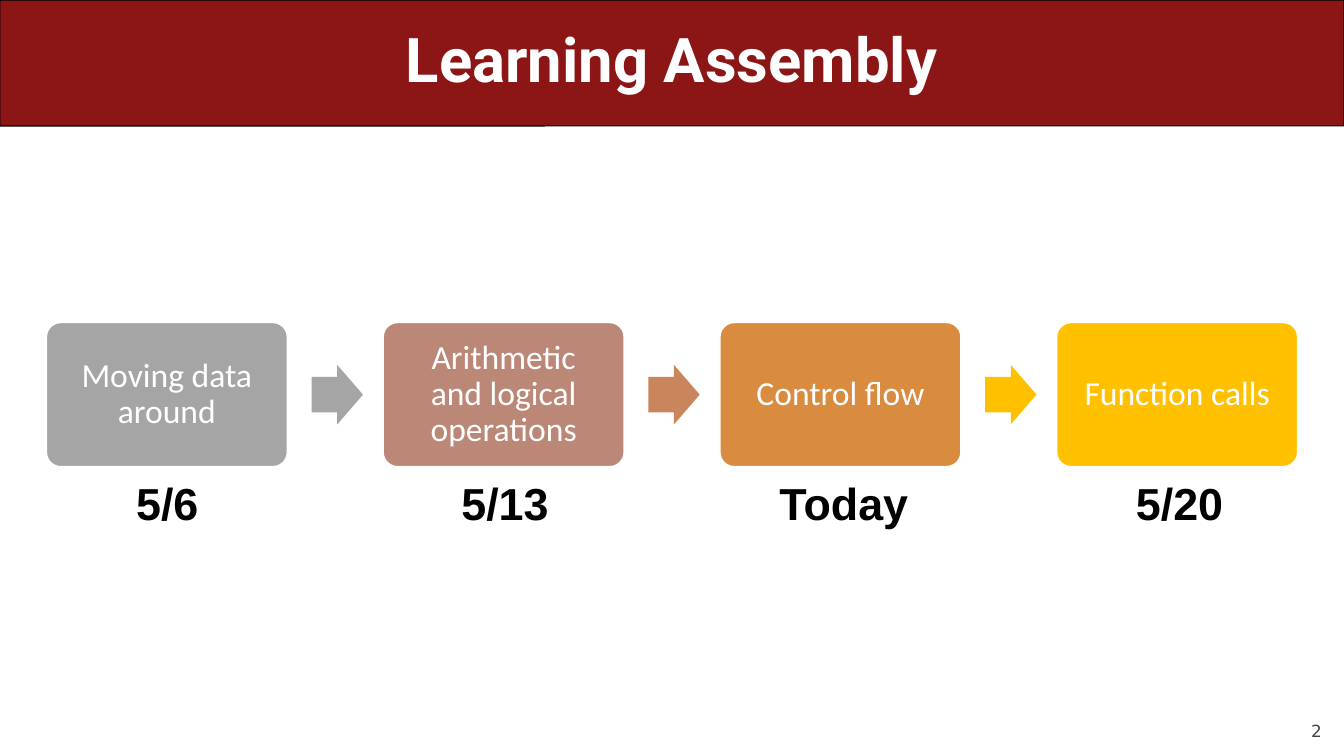
from dataclasses import dataclass

from pptx import Presentation
from pptx.dml.color import RGBColor
from pptx.enum.shapes import MSO_SHAPE as Preset
from pptx.enum.text import MSO_ANCHOR as Anchor, PP_ALIGN as Align
from pptx.shapes.autoshape import Shape
from pptx.util import Inches, Pt


@dataclass
class Topic:
    name: str
    date: str
    date_center: float
    fill: str
    arrow_fill: str = ""  # arrow to the next topic, if any


TOPICS = [
    Topic("Moving data around", "5/6", 1.66, "A5A5A5", "A5A5A5"),
    Topic("Arithmetic and logical operations", "5/13", 5.01, "BB8776", "C9855C"),
    Topic("Control flow", "Today", 8.37, "D98B3F", "FFC000"),
    Topic("Function calls", "5/20", 11.7, "FFC000"),
]
FIRST_LEFT, TOPIC_STEP = 0.46, 3.34
TOPIC_TOP, TOPIC_WIDTH, TOPIC_HEIGHT = 3.2, 2.39, 1.43
ARROW_OFFSET, ARROW_TOP, ARROW_WIDTH, ARROW_HEIGHT = 2.63, 3.62, 0.51, 0.59
DATE_TOP, DATE_WIDTH, DATE_HEIGHT = 4.67, 1.6, 0.64


def color(value: str) -> RGBColor:
    return RGBColor.from_string(value)


def add_block(preset: Preset, left: float, top: float, width: float, height: float,
              fill: str, adjustments: list[float], line: str = "", line_width: float = 1) -> Shape:
    block = slide.shapes.add_shape(preset, Inches(left), Inches(top), Inches(width), Inches(height))
    block.shadow.inherit = False
    for index, adjustment in enumerate(adjustments):
        block.adjustments[index] = adjustment
    block.fill.solid()
    block.fill.fore_color.rgb = color(fill)
    if line:
        block.line.color.rgb = color(line)
        block.line.width = Pt(line_width)
    else:
        block.line.fill.background()
    return block


def add_label(left: float, top: float, width: float, height: float) -> Shape:
    return slide.shapes.add_textbox(Inches(left), Inches(top), Inches(width), Inches(height))


def write(shape: Shape, text: str, font: str, size: int, ink: str, bold: bool = False,
          align: Align = Align.CENTER, anchor: Anchor = Anchor.MIDDLE,
          spacing: float = 1, inset: float = 0.1) -> None:
    frame = shape.text_frame
    frame.text = text
    frame.word_wrap = True
    frame.vertical_anchor = anchor
    frame.margin_left = frame.margin_right = Inches(inset)
    frame.margin_top = frame.margin_bottom = Inches(min(inset, 0.05))
    paragraph = frame.paragraphs[0]
    paragraph.alignment = align
    paragraph.line_spacing = spacing
    run_font = paragraph.runs[0].font
    run_font.name, run_font.size, run_font.bold = font, Pt(size), bold
    run_font.color.rgb = color(ink)


def add_topic(topic: Topic, left: float) -> None:
    box = add_block(Preset.ROUNDED_RECTANGLE, left, TOPIC_TOP, TOPIC_WIDTH, TOPIC_HEIGHT,
                    topic.fill, [0.1], "FFFFFF")
    write(box, topic.name, "Calibri", 24, "FFFFFF", spacing=0.9, inset=0.15)
    if topic.arrow_fill:
        add_block(Preset.RIGHT_ARROW, left + ARROW_OFFSET, ARROW_TOP, ARROW_WIDTH, ARROW_HEIGHT,
                  topic.arrow_fill, [0.6, 0.5])
    date = add_label(topic.date_center - DATE_WIDTH / 2, DATE_TOP, DATE_WIDTH, DATE_HEIGHT)
    write(date, topic.date, "Arial", 32, "000000", bold=True, anchor=Anchor.TOP, inset=0.05)


presentation = Presentation()
presentation.slide_width, presentation.slide_height = Inches(13.33), Inches(7.5)
slide = presentation.slides.add_slide(presentation.slide_layouts[6])

# Page number
page_number = add_label(12, 6.95, 1.11, 0.4)
write(page_number, "2", "DejaVu Sans", 12, "424242", align=Align.RIGHT, anchor=Anchor.BOTTOM, inset=0)

# Title banner
banner = add_block(Preset.ROUNDED_RECTANGLE, 0, 0, 13.33, 1.25, "8C1515", [0.001], "000000", 0.75)
write(banner, "Learning Assembly", "Roboto", 44, "FFFFFF", bold=True, spacing=0.9)

# Topics with their dates
for position, topic in enumerate(TOPICS):
    add_topic(topic, FIRST_LEFT + position * TOPIC_STEP)

presentation.save("out.pptx")
